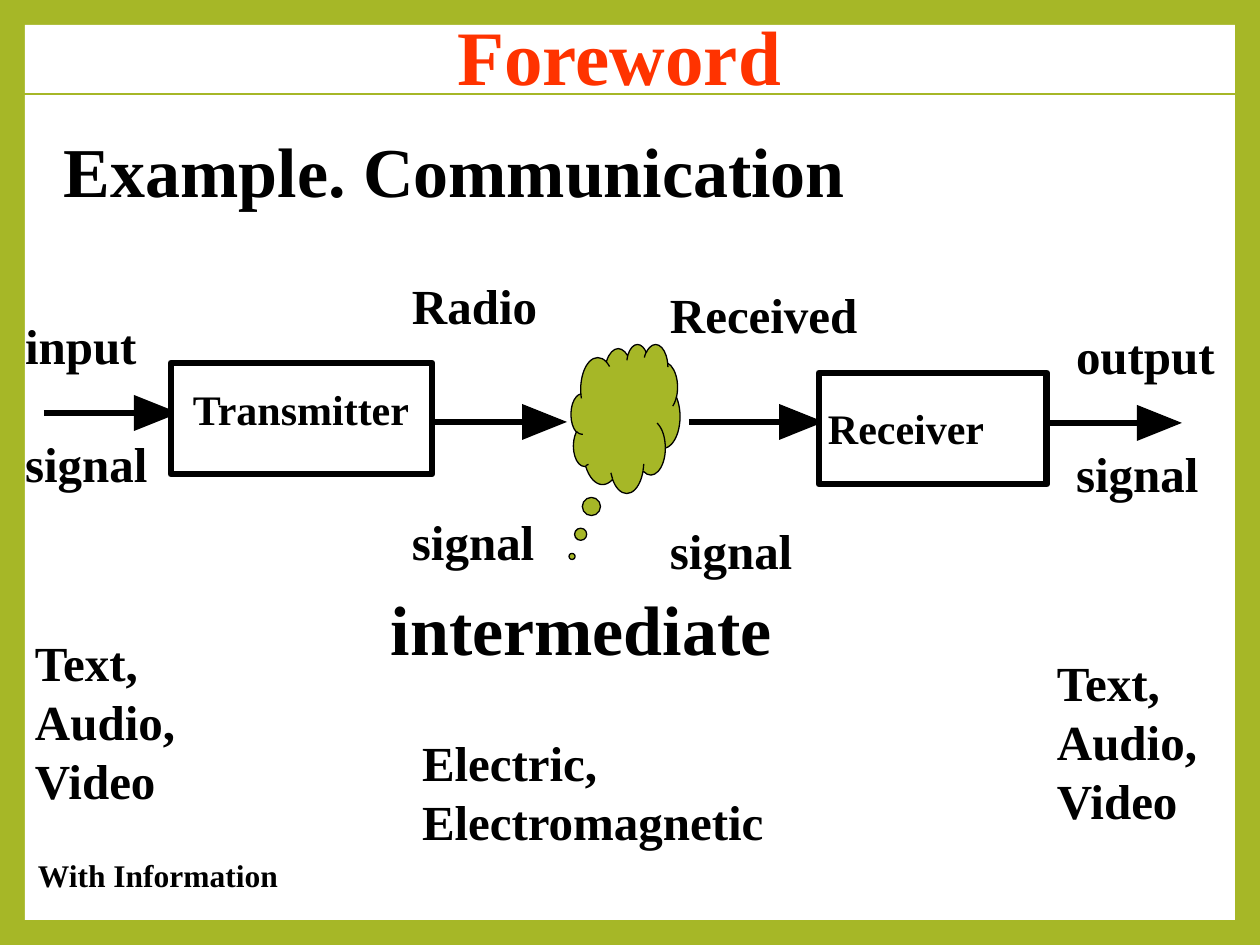
from pptx import Presentation
from pptx.dml.color import RGBColor
from pptx.enum.shapes import MSO_CONNECTOR, MSO_SHAPE
from pptx.enum.text import MSO_ANCHOR, MSO_AUTO_SIZE, PP_ALIGN
from pptx.oxml.ns import qn
from pptx.util import Pt
from lxml import etree

SCALE = 914400 / 126
FONT = "Times New Roman"
GREEN = RGBColor(0xA6, 0xB7, 0x27)
RED = RGBColor(0xFF, 0x33, 0x00)
BLACK = RGBColor(0, 0, 0)
WHITE = RGBColor(0xFF, 0xFF, 0xFF)
STRAIGHT = MSO_CONNECTOR.STRAIGHT
RECTANGLE = MSO_SHAPE.RECTANGLE
CLOUD = MSO_SHAPE.CLOUD_CALLOUT
CENTER = PP_ALIGN.CENTER
BOTTOM = MSO_ANCHOR.BOTTOM
NO_AUTOSIZE = MSO_AUTO_SIZE.NONE
LINE_FACTOR = 1.2
THICK = 3.88
THIN = 0.75


def px(*lengths):
    """Turn pixel lengths into EMU."""
    return [round(length * SCALE) for length in lengths]


def style_font(para, size, color):
    """Format every run of a paragraph in the slide's bold face."""
    for span in para.runs:
        span.font.name = FONT
        span.font.size = Pt(size)
        span.font.bold = True
        span.font.color.rgb = color


def add_label(page, box, lines, size=28, blank_lines=0):
    """Place left-aligned lines, parted by a number of empty line heights."""
    frame = page.shapes.add_textbox(*px(*box)).text_frame
    frame.margin_left = frame.margin_right = 0
    frame.margin_top = frame.margin_bottom = 0
    frame.word_wrap = True
    frame.text = "\n".join(lines)
    line_height = size * LINE_FACTOR
    for index, para in enumerate(frame.paragraphs):
        para.line_spacing = Pt(line_height)
        if index:
            para.space_before = Pt(blank_lines * line_height)
        style_font(para, size, BLACK)


def add_filled(page, kind, box, fill, line_width=None):
    """Place a flat preset shape with an optional black outline."""
    shape = page.shapes.add_shape(kind, *px(*box))
    shape.shadow.inherit = False
    shape.fill.solid()
    shape.fill.fore_color.rgb = fill
    if line_width:
        shape.line.color.rgb = BLACK
        shape.line.width = Pt(line_width)
    else:
        shape.line.fill.background()
    return shape


def add_rule(page, start, end, color, width):
    """Draw a straight line without a shadow."""
    rule = page.shapes.add_connector(STRAIGHT, *px(*start, *end))
    rule.line.color.rgb = color
    rule.line.width = Pt(width)
    etree.SubElement(rule.element.spPr, qn("a:effectLst"))


def add_arrow(page, left, middle):
    """Draw a shaft with a solid triangular head, pointing right."""
    add_rule(page, (left, middle), (left + 94, middle), BLACK, THICK)
    neck, tip, half = left + 90, left + 135, 18
    builder = page.shapes.build_freeform(*px(neck, middle - half), scale=1.0)
    builder.add_line_segments([px(tip, middle), px(neck, middle + half)], close=True)
    head = builder.convert_to_shape()
    head.shadow.inherit = False
    head.fill.solid()
    head.fill.fore_color.rgb = BLACK
    head.line.fill.background()


def add_heading(page, box):
    """Set the title over the white panel, with the rule below it."""
    left, top, width, height = box
    panel = add_filled(page, RECTANGLE, (25, 25, 1210, 895), WHITE)
    title = page.shapes.title
    title.element.addprevious(panel.element)
    title.left, title.top, title.width, title.height = px(left, top, width, height)
    title.text_frame.text = "Foreword"
    title.text_frame.auto_size = NO_AUTOSIZE
    title.text_frame.vertical_anchor = BOTTOM
    para = title.text_frame.paragraphs[0]
    para.alignment = CENTER
    style_font(para, 44, RED)
    add_rule(page, (0, 94), (1260, 94), GREEN, THIN)


def add_station(page, box, name, text_left, text_top):
    """Draw a transmitter or receiver block with its name."""
    left, top, width, height = box
    add_filled(page, RECTANGLE, box, WHITE, THICK)
    name_box = (left + text_left, top + text_top, width - text_left, 50)
    add_label(page, name_box, [name], 24)


def add_chain(page, left, top):
    """Draw the chain from input to output around the cloud."""
    for offset, middle in ((0, 50), (388, 59), (645, 59), (1003, 60)):
        add_arrow(page, left + offset, top + middle)
    add_station(page, (left + 127, top, 261, 111), "Transmitter", 22, 21)
    add_station(page, (left + 775, top + 10, 228, 111), "Receiver", 9, 30)
    cloud = add_filled(page, CLOUD, (left + 527, top - 19, 109, 149), GREEN, THIN)
    cloud.adjustments[0] = -0.49
    cloud.adjustments[1] = 0.926


def add_captions(page):
    """Write the signal names, media and message kinds around the chain."""
    add_label(page, (64, 128, 900, 85), ["Example. Communication"], 40)
    add_label(page, (391, 585, 500, 85), ["intermediate"], 40)
    for left, top, name, blanks in (
        (25, 316, "input", 1),
        (412, 276, "Radio", 3),
        (670, 285, "Received", 3),
        (1076, 326, "output", 1),
    ):
        box = (left, top, 210, 59 * (blanks + 2))
        add_label(page, box, [name, "signal"], blank_lines=blanks)
    for left, top in ((35, 633), (1057, 653)):
        add_label(page, (left, top, 174, 176), ["Text,", "Audio,", "Video"])
    add_label(page, (422, 733, 407, 118), ["Electric,", "Electromagnetic"])
    add_label(page, (38, 856, 300, 40), ["With Information"], 18)


def main():
    """Build the slide and save the deck."""
    deck = Presentation()
    deck.slide_width, deck.slide_height = px(1260, 945)
    page = deck.slides.add_slide(deck.slide_layouts[5])
    page.background.fill.solid()
    page.background.fill.fore_color.rgb = GREEN
    add_heading(page, (84, 0, 1071, 107))
    add_chain(page, 44, 363)
    add_captions(page)
    deck.save("out.pptx")


if __name__ == "__main__":
    main()
